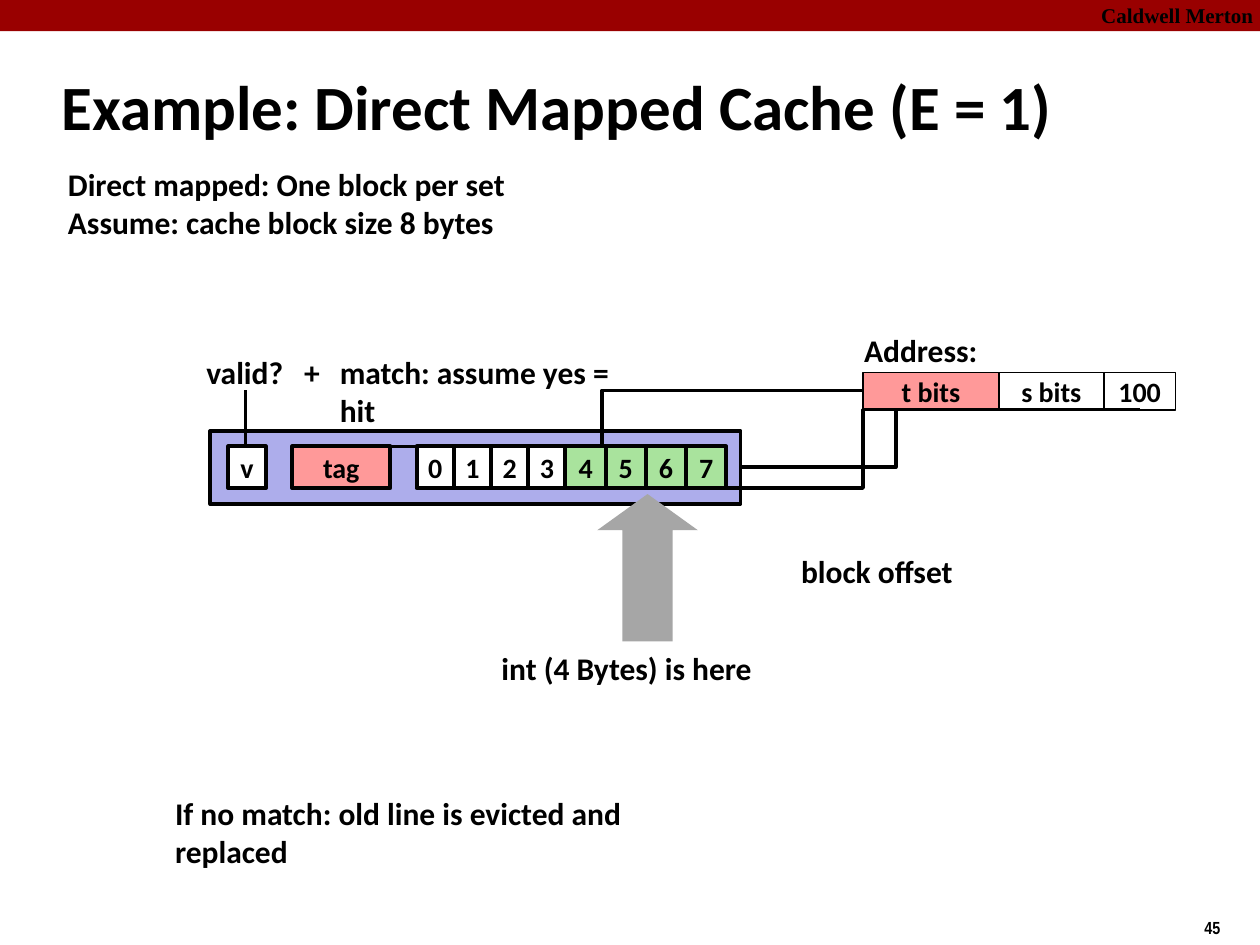
from dataclasses import dataclass

from lxml import etree
from pptx import Presentation
from pptx import util as u
from pptx.dml.color import RGBColor
from pptx.enum import shapes, text
from pptx.oxml.ns import qn


@dataclass(frozen=True)
class Theme:
    ink: str = "000000"
    paper: str = "FFFFFF"
    band: str = "990000"
    rose: str = "FF9999"
    lilac: str = "ADADEB"
    green: str = "A9E39D"
    grey: str = "A6A6A6"
    font: str = "Calibri"
    serif: str = "Times New Roman"
    narrow: str = "Arial Narrow"
    title: int = 36
    body: int = 18
    cell: int = 16
    brand: int = 12
    page: int = 10


class Board:
    def __init__(self, slide, theme):
        self.slide, self.theme = slide, theme

    def style(self, para, size, font=None):
        para.font.size = u.Pt(size)
        para.font.name = font or self.theme.font
        para.font.bold = True
        para.font.color.rgb = RGBColor.from_string(self.theme.ink)

    def label(self, words, x, y, w, h=1.02, size=None, font=None, tab=None):
        box = self.slide.shapes.add_textbox(u.Cm(x), u.Cm(y), u.Cm(w), u.Cm(h))
        frame = box.text_frame
        frame.word_wrap = tab is not None
        frame.text = words
        for para in frame.paragraphs:
            self.style(para, size or self.theme.body, font)
            if tab:
                stops = etree.Element(qn("a:tabLst"))
                etree.SubElement(stops, qn("a:tab"), pos=str(u.Cm(tab)), algn="l")
                para.font._element.addprevious(stops)

    def shape(self, kind, x, y, w, h, fill, line=None):
        item = self.slide.shapes.add_shape(kind, u.Cm(x), u.Cm(y), u.Cm(w), u.Cm(h))
        item.shadow.inherit = False
        item.fill.solid()
        item.fill.fore_color.rgb = RGBColor.from_string(fill)
        if line:
            item.line.color.rgb = RGBColor.from_string(self.theme.ink)
            item.line.width = u.Pt(line)
        else:
            item.line.fill.background()
        return item

    def box(self, x, y, w, h, fill, line=None, words=None, wrap=False):
        item = self.shape(shapes.MSO_SHAPE.RECTANGLE, x, y, w, h, fill, line)
        if words:
            frame = item.text_frame
            frame.word_wrap = wrap
            frame.vertical_anchor = text.MSO_ANCHOR.MIDDLE
            frame.text = words
            para = frame.paragraphs[0]
            para.alignment = text.PP_ALIGN.CENTER
            self.style(para, self.theme.cell)

    def arrow(self, x, y, w, h):
        item = self.shape(shapes.MSO_SHAPE.UP_ARROW, x, y, w, h, self.theme.grey)
        item.adjustments[0], item.adjustments[1] = 0.5, 0.36

    def link(self, kind, x1, y1, x2, y2):
        wire = self.slide.shapes.add_connector(
            kind, u.Cm(x1), u.Cm(y1), u.Cm(x2), u.Cm(y2))
        wire.line.color.rgb = RGBColor.from_string(self.theme.ink)
        wire.line.width = u.Pt(2)
        etree.SubElement(wire._element.spPr, qn("a:effectLst"))


def main():
    deck = Presentation()
    deck.slide_width, deck.slide_height = u.Cm(25.4), u.Cm(19.05)
    look = Theme()
    board = Board(deck.slides.add_slide(deck.slide_layouts[6]), look)

    # Header band and page number
    board.box(0, 0, 25.4, 0.63, look.band)
    board.label("Caldwell Merton", 21.95, -0.08, 3.63, 0.76, look.brand, look.serif)
    board.label("45", 24.03, 18.36, 1.9, 0.69, look.page, look.narrow)

    # Title and assumptions
    board.label("Example: Direct Mapped Cache (E = 1)", 0.99, 1.24, 21.08, 2.11, look.title)
    board.label("Direct mapped: One block per set\nAssume: cache block size 8 bytes",
                1.12, 3.2, 9.32, 1.78)

    # Address fields
    left = 17.4
    for words, wide, fill in (("t bits", 2.74, look.rose),
                              ("s bits", 2.11, look.paper),
                              ("100", 1.45, look.paper)):
        board.box(left, 7.51, wide, 0.75, fill, 1, words, wrap=True)
        left += wide
    board.label("Address:", 17.17, 6.55, 2.79)

    # Cache line: valid bit, tag and eight bytes
    top, high, edge = 9, 0.84, 2.25
    board.box(4.24, 8.69, 10.69, 1.47, look.lilac, edge)
    board.box(4.6, top, 0.76, high, look.paper, edge, "v")
    board.box(5.89, top, 1.98, high, look.rose, edge, "tag")
    left = 8.4
    for byte in range(8):
        wide, fill = (0.75, look.paper) if byte < 4 else (0.81, look.green)
        board.box(left, top, wide, high, fill, edge, str(byte))
        left += wide

    # Wires from the address to the line
    bent = shapes.MSO_CONNECTOR.ELBOW
    board.link(bent, 21.2, 8.26, 14.92, 9.42)
    board.link(bent, 17.4, 7.87, 6.88, top)
    board.link(bent, 22.99, 8.26, 11.81, 9.84)
    board.link(shapes.MSO_CONNECTOR.STRAIGHT, 4.95, 7.87, 4.95, top)

    # Hit test and offset labels
    board.label("match: assume yes = hit", 6.6, 6.99, 6.78)
    board.label("valid?\t+", 3.91, 6.99, 2.79, tab=1.97)
    board.arrow(12.04, 9.96, 2.03, 2.97)
    board.label("int (4 Bytes) is here", 9.86, 12.95, 5.56)
    board.label("block offset", 15.9, 11, 3.56)
    board.label("If no match: old line is evicted and replaced", 3.28, 15.88, 11.91)

    deck.save("out.pptx")


if __name__ == "__main__":
    main()
